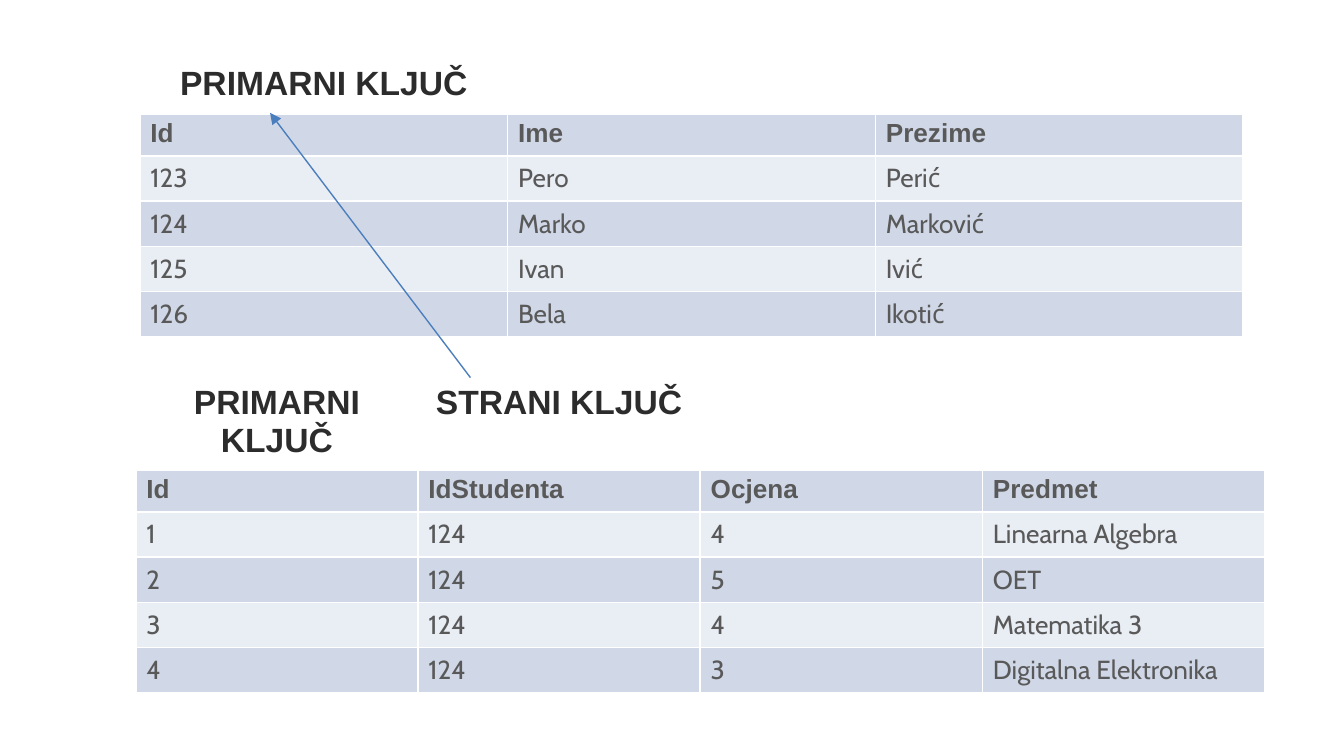
from lxml.etree import SubElement
from pptx import Presentation
from pptx.dml.color import RGBColor
from pptx.enum.shapes import MSO_CONNECTOR
from pptx.enum.text import PP_ALIGN
from pptx.oxml.ns import qn
from pptx.util import Pt

STUDENTS = [
    ["PRIMARNI KLJUČ", "", ""],
    ["Id", "Ime", "Prezime"],
    ["123", "Pero", "Perić"],
    ["124", "Marko", "Marković"],
    ["125", "Ivan", "Ivić"],
    ["126", "Bela", "Ikotić"],
]
GRADES = [
    ["PRIMARNI KLJUČ", "STRANI KLJUČ", "", ""],
    ["Id", "IdStudenta", "Ocjena", "Predmet"],
    ["1", "124", "4", "Linearna Algebra"],
    ["2", "124", "5", "OET"],
    ["3", "124", "4", "Matematika 3"],
    ["4", "124", "3", "Digitalna Elektronika"],
]
KEY = dict(size=18, font="Arial", color="2C2C2C", bold=True, align=PP_ALIGN.CENTER)
HEAD = dict(size=14, font="Arial", color="595959", bold=True)
BODY = dict(size=14, font="Cabin", color="595959")


def paint(item, color):
    """Give a fill or a line's fill a solid colour."""
    item.solid()
    item.fore_color.rgb = RGBColor.from_string(color)


def write(frame, text, size, font, color, bold=False, align=PP_ALIGN.LEFT):
    """Write one formatted paragraph into a text frame."""
    para = frame.paragraphs[0]
    para.alignment = align
    if not text:
        para.font.size = Pt(size)
        return
    run = para.add_run()
    run.text = text
    run.font.size, run.font.name, run.font.bold = Pt(size), font, bold
    paint(run.font.fill, color)


def edge(cell, top, base):
    """Draw white borders round a cell."""
    props = cell._tc.get_or_add_tcPr()
    for side, width in zip("LRTB", (1, 1, top, base)):
        line = SubElement(props, qn(f"a:ln{side}"), w=str(Pt(width)))
        fill = SubElement(line, qn("a:solidFill"))
        SubElement(fill, qn("a:srgbClr"), val="FFFFFF")


def add_grid(slide, rows, left, top, width, lead):
    """Place a table with a key row, a head row and banded body rows."""
    highs = [lead, 23.3] + [24.2] * (len(rows) - 2)
    grid = slide.shapes.add_table(
        len(rows), len(rows[0]), Pt(left), Pt(top), Pt(width), Pt(sum(highs))
    ).table
    grid.first_row = grid.horz_banding = False
    for col in grid.columns:
        col.width = Pt(width / len(rows[0]))
    for r, row in enumerate(rows):
        grid.rows[r].height = Pt(highs[r])
        for c, text in enumerate(row):
            cell = grid.cell(r, c)
            cell.margin_left = cell.margin_right = Pt(5.6)
            edge(cell, 3 if r == 1 else 1, 3 if r == 0 else 1)
            if r:
                paint(cell.fill, "D0D8E8" if r % 2 else "E9EDF4")
            else:
                cell.fill.background()
            write(cell.text_frame, text, **(KEY, HEAD, BODY)[min(r, 2)])


def add_arrow(slide, start, end):
    """Draw a thin arrow from start to end."""
    link = slide.shapes.add_connector(
        MSO_CONNECTOR.STRAIGHT, *(Pt(n) for n in start + end)
    )
    link.line.width = Pt(0.75)
    paint(link.line.fill, "4B7EBC")
    SubElement(link.line._get_or_add_ln(), qn("a:tailEnd"), type="triangle")
    SubElement(link._element.spPr, qn("a:effectLst"))


def main():
    """Build the slide with both linked tables."""
    deck = Presentation()
    deck.slide_width, deck.slide_height = Pt(720), Pt(405)
    slide = deck.slides.add_slide(deck.slide_layouts[6])
    add_grid(slide, STUDENTS, left=75, top=31, width=591, lead=29.2)
    add_grid(slide, GRADES, left=72.8, top=202.3, width=604.8, lead=48.6)
    add_arrow(slide, (252, 202.3), (144.7, 60.5))
    deck.save("out.pptx")


if __name__ == "__main__":
    main()
